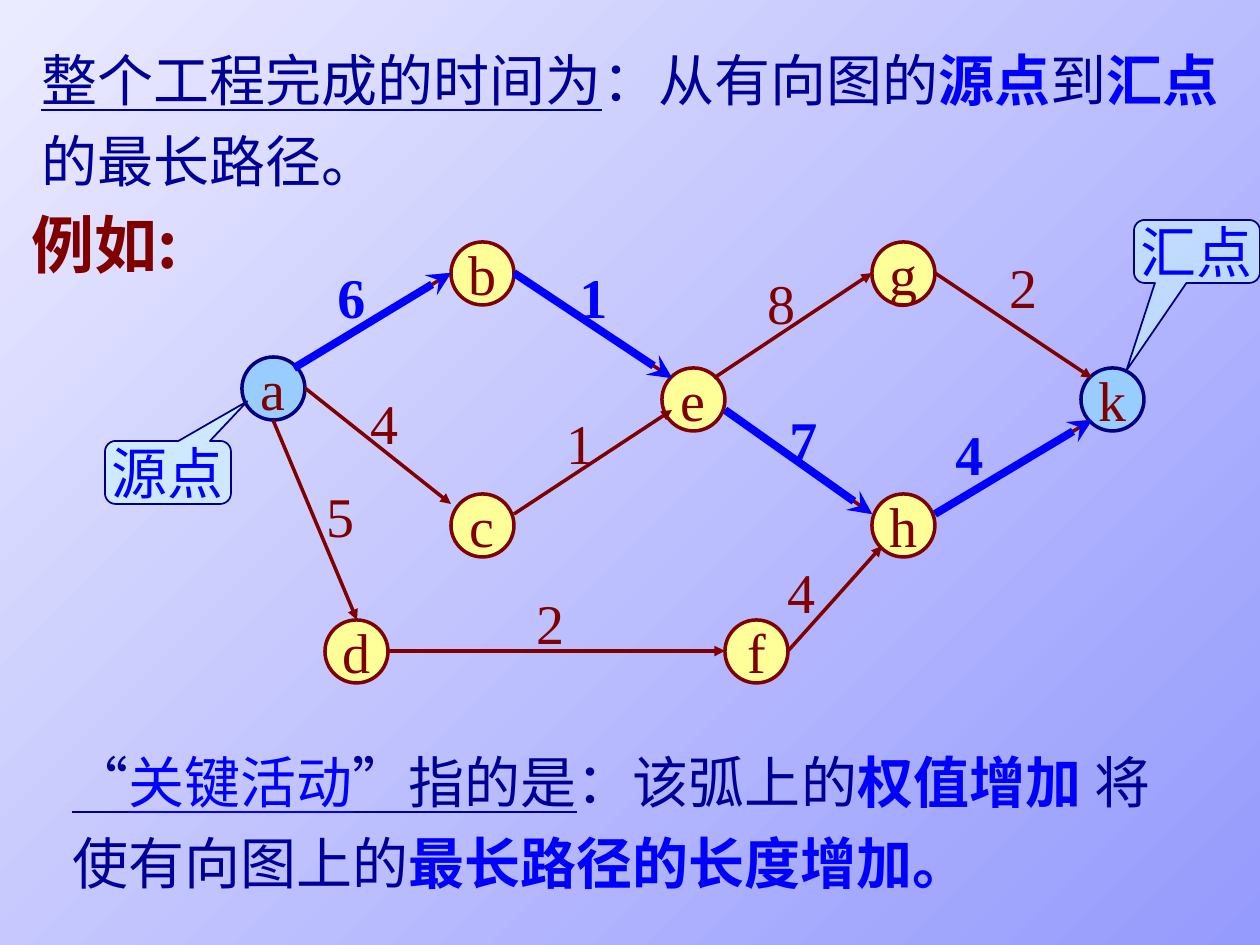
from lxml.etree import SubElement
from pptx import Presentation
from pptx.dml.color import RGBColor
from pptx.enum.shapes import MSO_CONNECTOR, MSO_SHAPE
from pptx.enum.text import MSO_ANCHOR, MSO_AUTO_SIZE, PP_ALIGN
from pptx.oxml.ns import qn
from pptx.util import Pt

SCALE = 914400 / 126
THEME = {
    "maroon": RGBColor(0x80, 0x00, 0x00),
    "navy": RGBColor(0x00, 0x00, 0x80),
    "ink": RGBColor(0x00, 0x00, 0x99),
    "blue": RGBColor(0x00, 0x00, 0xFF),
    "yellow": RGBColor(0xFF, 0xFF, 0x99),
    "sky": RGBColor(0x99, 0xCC, 0xFF),
    "pale": RGBColor(0xCC, 0xFF, 0xFF),
    "shade": RGBColor(0x95, 0x9A, 0xFD),
    "light": RGBColor(0xEB, 0xEB, 0xFF),
    "latin": "Times New Roman",
    "asian": "Noto Sans CJK SC",
    "body": Pt(32),
    "heading": Pt(36),
}


def px(*values):
    return [round(value * SCALE) for value in values]


def write(shape, spans, frame_format, paragraph_format, size="body", face="latin"):
    frame = shape.text_frame
    para = frame.paragraphs[0]
    for target, settings in ((frame, frame_format), (para, paragraph_format)):
        for name, value in settings.items():
            setattr(target, name, value)
    for text, color, style in spans:
        span = para.add_run()
        span.text = text
        font_format = {"name": THEME[face], "size": THEME[size], **style}
        for name, value in font_format.items():
            setattr(span.font, name, value)
        span.font.color.rgb = THEME[color]
        latin = span.font._element.find(qn("a:latin"))
        asian = latin.makeelement(qn("a:ea"), {"typeface": THEME["asian"]})
        latin.addnext(asian)


BOLD = {"bold": True}
UNDERLINED = {"underline": True}
CENTERED = {"alignment": PP_ALIGN.CENTER}
IN_SHAPE = {"word_wrap": False, "vertical_anchor": MSO_ANCHOR.MIDDLE}
LABEL = {"word_wrap": False, "auto_size": MSO_AUTO_SIZE.SHAPE_TO_FIT_TEXT}
WRAPPED = {"word_wrap": True, "auto_size": MSO_AUTO_SIZE.SHAPE_TO_FIT_TEXT}

deck = Presentation()
deck.slide_width, deck.slide_height = px(1260, 945)
page = deck.slides.add_slide(deck.slide_layouts[6])
shapes = page.shapes

background = page.background.fill
background.gradient()
background.gradient_angle = 135
for stop, color, position in zip(background.gradient_stops, ("shade", "light"), (0, 1)):
    stop.color.rgb = THEME[color]
    stop.position = position

nodes = {
    "a": (242, 357), "b": (451, 242), "c": (451, 494),
    "d": (325, 620), "e": (662, 368), "f": (725, 620),
    "g": (872, 242), "h": (872, 494), "k": (1081, 368),
}
for name, (left, top) in nodes.items():
    node = shapes.add_shape(MSO_SHAPE.OVAL, *px(left, top, 63, 63))
    fill, line = ("sky", "navy") if name in "ak" else ("yellow", "maroon")
    node.shadow.inherit = False
    node.fill.solid()
    node.fill.fore_color.rgb = THEME[fill]
    node.line.color.rgb = THEME[line]
    node.line.width = Pt(2)
    write(node, [(name, "maroon", {})], IN_SHAPE, CENTERED)

activities = [
    ("6", (294, 368, 451, 273), (325, 256), True),
    ("4", (305, 388, 451, 504), (358, 382), False),
    ("1", (514, 514, 672, 410), (554, 402), False),
    ("1", (514, 273, 672, 378), (567, 256), True),
    ("8", (714, 378, 872, 273), (755, 262), False),
    ("2", (935, 273, 1092, 378), (997, 246), False),
    ("4", (935, 514, 1092, 420), (943, 413), True),
    ("7", (725, 410, 872, 514), (777, 399), True),
    ("5", (273, 420, 357, 620), (314, 475), False),
    ("2", (388, 651, 725, 651), (524, 582), False),
    ("4", (788, 651, 882, 546), (775, 551), False),
]
all_ends = [ends for _, ends, _, _ in activities]
critical_ends = [ends for _, ends, _, critical in activities if critical]
for group, color, width, head in (
    (all_ends, "maroon", 2, "triangle"),
    (critical_ends, "blue", 4.5, "stealth"),
):
    for ends in group:
        arrow = shapes.add_connector(MSO_CONNECTOR.STRAIGHT, *px(*ends))
        arrow.line.color.rgb = THEME[color]
        arrow.line.width = Pt(width)
        SubElement(arrow.line._get_or_add_ln(), qn("a:tailEnd"), type=head)
        SubElement(arrow._element.spPr, qn("a:effectLst"))

for weight, _, corner, critical in activities:
    box = shapes.add_textbox(*px(*corner, 53, 81))
    color, style = ("blue", BOLD) if critical else ("maroon", {})
    write(box, [(weight, color, style)], LABEL, {})

example = shapes.add_textbox(*px(19, 199, 198, 88))
write(example, [("例如:", "maroon", BOLD)], LABEL, {}, "heading", "asian")

statements = [
    ((60, 728, 1157, 174), [
        ("“", "ink", UNDERLINED),
        ("关键活动", "blue", UNDERLINED),
        ("”指的是", "ink", UNDERLINED),
        ("：该弧上的", "ink", {}),
        ("权值增加 ", "blue", BOLD),
        ("将使有向图上的", "ink", {}),
        ("最长路径的长度增加。", "blue", BOLD),
    ]),
    ((29, 26, 1210, 174), [
        ("整个工程完成的时间为", "ink", UNDERLINED),
        ("：从有向图的", "ink", {}),
        ("源点", "blue", BOLD),
        ("到", "ink", {}),
        ("汇点", "blue", BOLD),
        ("的最长路径。", "ink", {}),
    ]),
]
for area, spans in statements:
    box = shapes.add_textbox(*px(*area))
    write(box, spans, WRAPPED, {"line_spacing": 1.2})

callouts = [
    ("源点", (105, 441), (0.63, -1.13, 0.17)),
    ("汇点", (1134, 220), (-0.56, 1.89, 0.17)),
]
for text, corner, adjustments in callouts:
    callout = shapes.add_shape(MSO_SHAPE.ROUNDED_RECTANGULAR_CALLOUT, *px(*corner, 126, 63))
    for index, value in enumerate(adjustments):
        callout.adjustments[index] = value
    callout.shadow.inherit = False
    callout.fill.solid()
    callout.fill.fore_color.rgb = THEME["pale"]
    tint = callout._element.spPr.find(qn("a:solidFill")).find(qn("a:srgbClr"))
    SubElement(tint, qn("a:alpha"), val="50000")
    callout.line.color.rgb = THEME["navy"]
    callout.line.width = Pt(1)
    write(callout, [(text, "blue", {})], IN_SHAPE, CENTERED)

deck.save("out.pptx")
